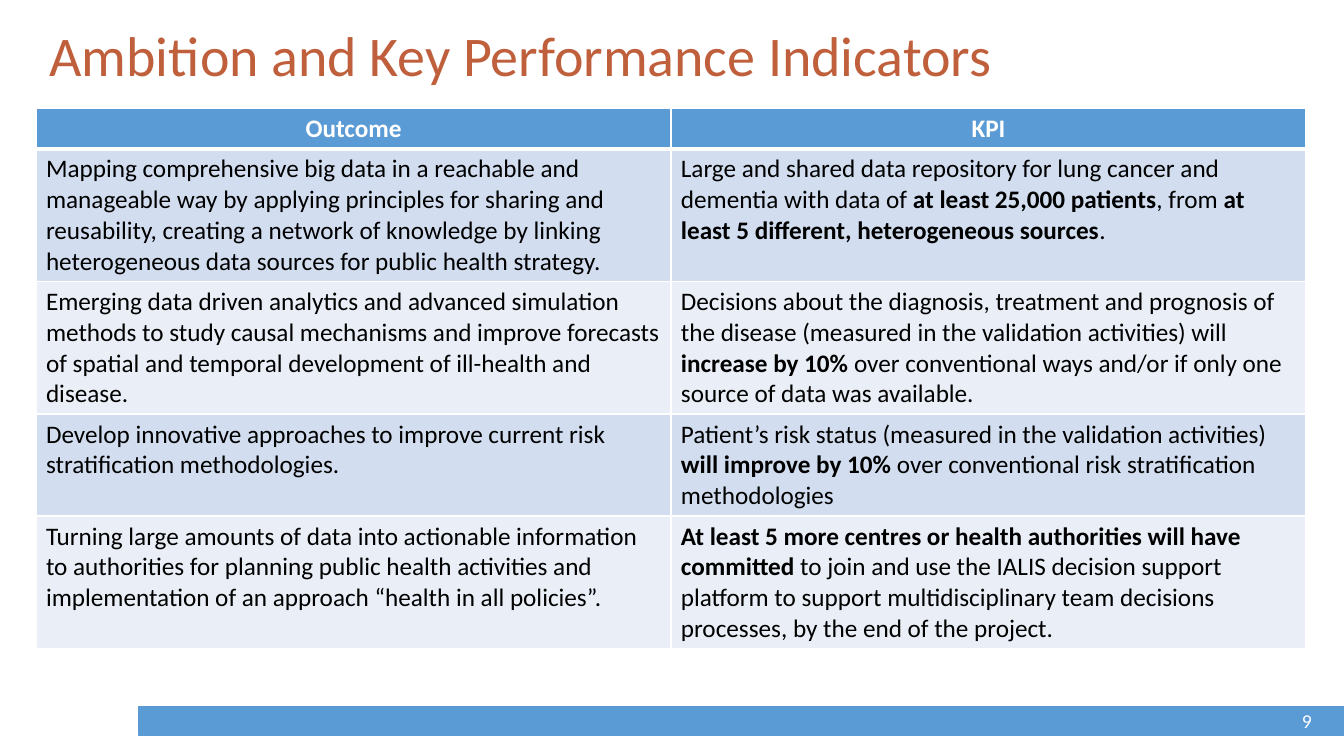
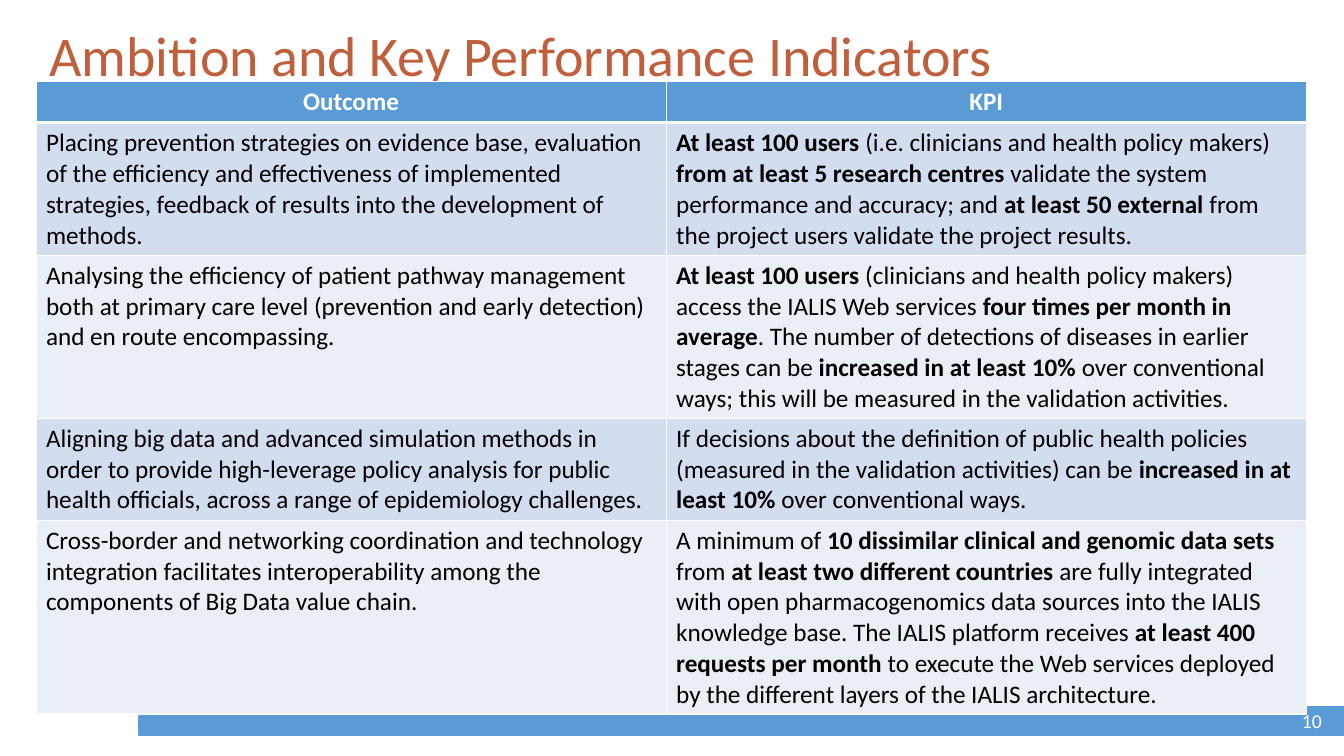
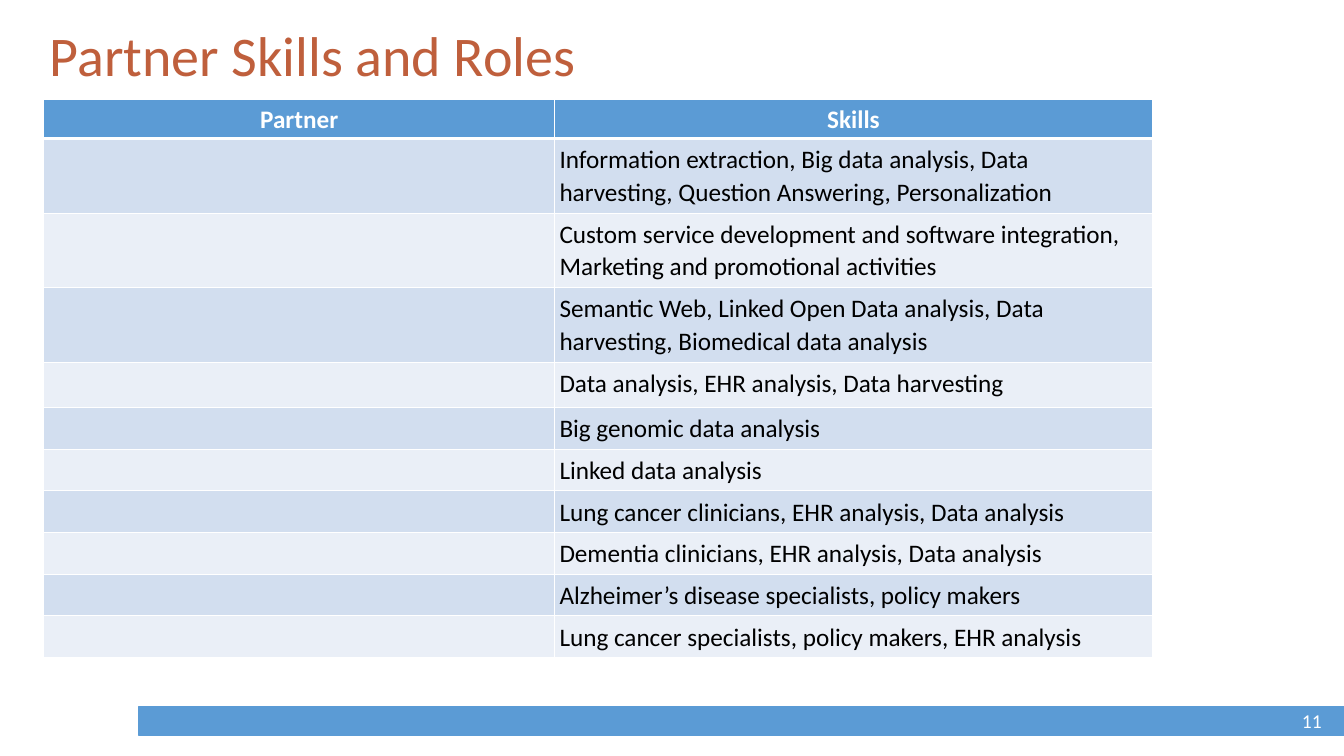
"""Build three slides with outcome and skill tables."""
from dataclasses import dataclass

from lxml.etree import SubElement
from pptx import Presentation
from pptx.dml.color import RGBColor as Rgb
from pptx.enum.shapes import MSO_SHAPE as Kind
from pptx.enum.text import MSO_ANCHOR as Anchor, PP_ALIGN as Align
from pptx.oxml.ns import qn
from pptx.util import Cm, Pt

FONT = "Calibri"
BLUE, RUST, WHITE, BLACK = "5B9BD5", "BF5F3C", "FFFFFF", "000000"
BANDS = ("D2DEEF", "EAEFF7")


@dataclass(frozen=True)
class Grid:
    left: float
    top: float
    cols: tuple[float, float]
    highs: list[float]
    rows: list[tuple[str, str]]
    gap: float = 1.0
    head_pads: tuple[float, float] = (0.25, 0.13)
    body_pads: tuple[float, float] = (0.25, 0.13)
    head_mid: bool = False


@dataclass(frozen=True)
class Page:
    title: str
    num: int
    grid: Grid


def color(code: str) -> Rgb:
    return Rgb.from_string(code)


def paint(fill, code: str) -> None:
    fill.solid()
    fill.fore_color.rgb = color(code)


def write(frame, text: str, size=18, ink=BLACK, bold=False,
          align=Align.LEFT, gap=1.0) -> None:
    para = frame.paragraphs[0]
    para.alignment = align
    para.line_spacing = gap
    for pos, part in enumerate(text.split("**")):
        if part:
            run = para.add_run()
            run.text = part
            font = run.font
            font.name, font.size = FONT, Pt(size)
            font.bold = bold or pos % 2 == 1
            font.color.rgb = color(ink)


def add_text(slide, box: tuple, text: str, anchor=Anchor.TOP, **form) -> None:
    frame = slide.shapes.add_textbox(*map(Cm, box)).text_frame
    frame.word_wrap = True
    frame.vertical_anchor = anchor
    write(frame, text, **form)


def add_edges(cell, base: float) -> None:
    props = cell._tc.get_or_add_tcPr()
    for tag, width in (("lnL", 1), ("lnR", 1), ("lnT", 1), ("lnB", base)):
        line = SubElement(props, qn(f"a:{tag}"), w=str(Pt(width)))
        fill = SubElement(line, qn("a:solidFill"))
        SubElement(fill, qn("a:srgbClr"), val=WHITE)


def add_cell(cell, text: str, row: int, grid: Grid) -> None:
    head = row == 0
    add_edges(cell, 3 if head else 1)
    paint(cell.fill, BLUE if head else BANDS[(row - 1) % 2])
    side, edge = grid.head_pads if head else grid.body_pads
    cell.margin_left = cell.margin_right = Cm(side)
    cell.margin_top = cell.margin_bottom = Cm(edge)
    if head and grid.head_mid:
        cell.vertical_anchor = Anchor.MIDDLE
    write(cell.text_frame, text, ink=WHITE if head else BLACK, bold=head,
          align=Align.CENTER if head else Align.LEFT, gap=grid.gap)


def add_grid(slide, grid: Grid) -> None:
    box = (grid.left, grid.top, sum(grid.cols), sum(grid.highs))
    table = slide.shapes.add_table(
        len(grid.rows), len(grid.cols), *map(Cm, box)).table
    for col, width in zip(table.columns, grid.cols):
        col.width = Cm(width)
    for num, (row, high, texts) in enumerate(
            zip(table.rows, grid.highs, grid.rows)):
        row.height = Cm(high)
        for cell, text in zip(row.cells, texts):
            add_cell(cell, text, num, grid)


def add_page(deck, page: Page) -> None:
    slide = deck.slides.add_slide(deck.slide_layouts[6])
    band = slide.shapes.add_shape(
        Kind.RECTANGLE, Cm(3.5), Cm(17.8), Cm(30.37), Cm(0.74))
    band.shadow.inherit = False
    paint(band.fill, BLUE)
    paint(band.line.fill, BLUE)
    band.line.width = Pt(1)
    add_text(slide, (1, 0.1, 31.93, 2.74), page.title,
             anchor=Anchor.MIDDLE, size=40, ink=RUST, gap=0.9)
    add_grid(slide, page.grid)
    add_text(slide, (32.56, 17.73, 1.3, 1.02), str(page.num),
             size=14, ink=WHITE)


def fit(*lines: int) -> list[float]:
    return [round(0.77 * count + 0.26, 2) for count in lines]


GOALS = [
    ("Outcome", "KPI"),
    ("Mapping comprehensive big data in a reachable and manageable way by "
     "applying principles for sharing and reusability, creating a network of "
     "knowledge by linking heterogeneous data sources for public health "
     "strategy.",
     "Large and shared data repository for lung cancer and dementia with data "
     "of **at least 25,000 patients**, from **at least 5 different, "
     "heterogeneous sources**."),
    ("Emerging data driven analytics and advanced simulation methods to study "
     "causal mechanisms and improve forecasts of spatial and temporal "
     "development of ill-health and disease.",
     "Decisions about the diagnosis, treatment and prognosis of the disease "
     "(measured in the validation activities) will **increase by 10% **over "
     "conventional ways and/or if only one source of data was available."),
    ("Develop innovative approaches to improve current risk stratification "
     "methodologies.",
     "Patient’s risk status (measured in the validation activities) **will "
     "improve by 10% **over conventional risk stratification methodologies"),
    ("Turning large amounts of data into actionable information to "
     "authorities for planning public health activities and implementation "
     "of an approach “health in all policies”.",
     "**At least 5 more centres or health authorities will have committed** "
     "to join and use the IALIS decision support platform to support "
     "multidisciplinary team decisions processes, by the end of the project."),
]

AIMS = [
    ("Outcome", "KPI"),
    ("Placing prevention strategies on evidence base, evaluation of the "
     "efficiency and effectiveness of implemented strategies, feedback of "
     "results into the development of methods.",
     "**At least 100 users **(i.e. clinicians and health policy makers) "
     "**from at least 5 research centres** validate the system performance "
     "and accuracy; and **at least 50 external** from the project users "
     "validate the project results."),
    ("Analysing the efficiency of patient pathway management both at primary "
     "care level (prevention and early detection) and en route encompassing.",
     "**At least 100 users** (clinicians and health policy makers) access the "
     "IALIS Web services **four times per month in average**. The number of "
     "detections of diseases in earlier stages can be **increased in at least "
     "10% **over conventional ways; this will be measured in the validation "
     "activities."),
    ("Aligning big data and advanced simulation methods in order to provide "
     "high-leverage policy analysis for public health officials, across a "
     "range of epidemiology challenges.",
     "If decisions about the definition of public health policies (measured "
     "in the validation activities) can be **increased in at least 10%** over "
     "conventional ways."),
    ("Cross-border and networking coordination and technology integration "
     "facilitates interoperability among the components of Big Data value "
     "chain.",
     "A minimum of **10 dissimilar clinical and genomic data sets **from **at "
     "least two different countries **are fully integrated with open "
     "pharmacogenomics data sources into the IALIS knowledge base. The IALIS "
     "platform receives **at least 400 requests per month **to execute the "
     "Web services deployed by the different layers of the IALIS "
     "architecture."),
]

SKILLS = [
    "Information extraction, Big data analysis, Data harvesting, "
    "Question Answering, Personalization",
    "Custom service development and software integration, "
    "Marketing and promotional activities",
    "Semantic Web, Linked Open Data analysis, Data harvesting, "
    "Biomedical data analysis",
    "Data analysis, EHR analysis, Data harvesting",
    "Big genomic data analysis",
    "Linked data analysis",
    "Lung cancer clinicians, EHR analysis, Data analysis",
    "Dementia clinicians, EHR analysis, Data analysis",
    "Alzheimer’s disease specialists, policy makers",
    "Lung cancer specialists, policy makers, EHR analysis",
]

AMBITION = "Ambition and Key Performance Indicators"
PAGES = [
    Page(AMBITION, 9, Grid(0.91, 2.72, (16, 16), fit(1, 4, 4, 3, 4), GOALS)),
    Page(AMBITION, 10,
         Grid(0.91, 2.06, (15.88, 16.13), fit(1, 4, 5, 3, 6), AIMS)),
    Page("Partner Skills and Roles", 11,
         Grid(1.1, 2.5, (12.88, 15.06),
              [0.99] + [1.88] * 3 + [1.14] + [1.05] * 6,
              [("Partner", "Skills")] + [("", skill) for skill in SKILLS],
              gap=1.05, head_pads=(0.08, 0), body_pads=(0.12, 0.12),
              head_mid=True)),
]


def main() -> None:
    deck = Presentation()
    deck.slide_width, deck.slide_height = Cm(33.87), Cm(19.05)
    for page in PAGES:
        add_page(deck, page)
    deck.save("out.pptx")


if __name__ == "__main__":
    main()
